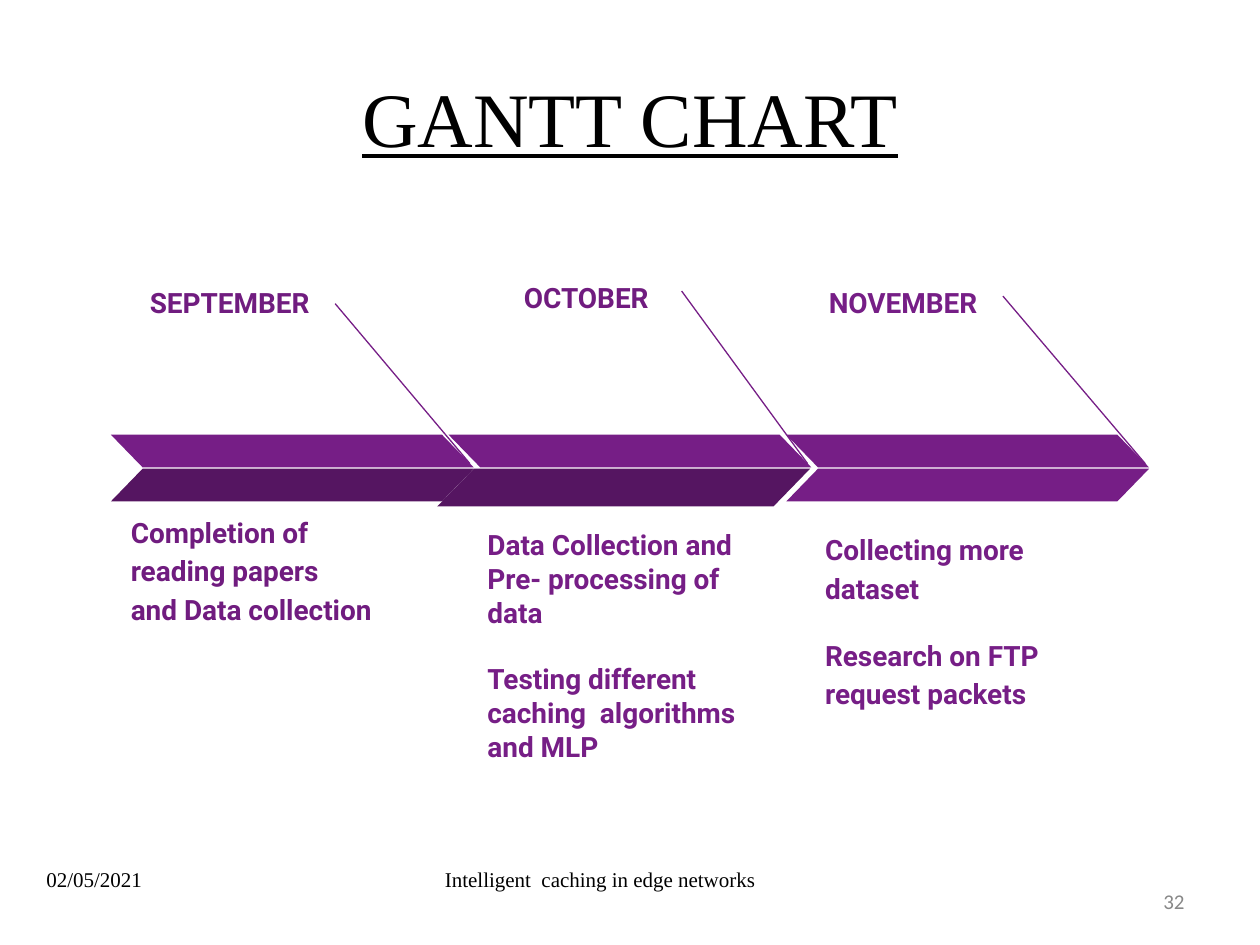
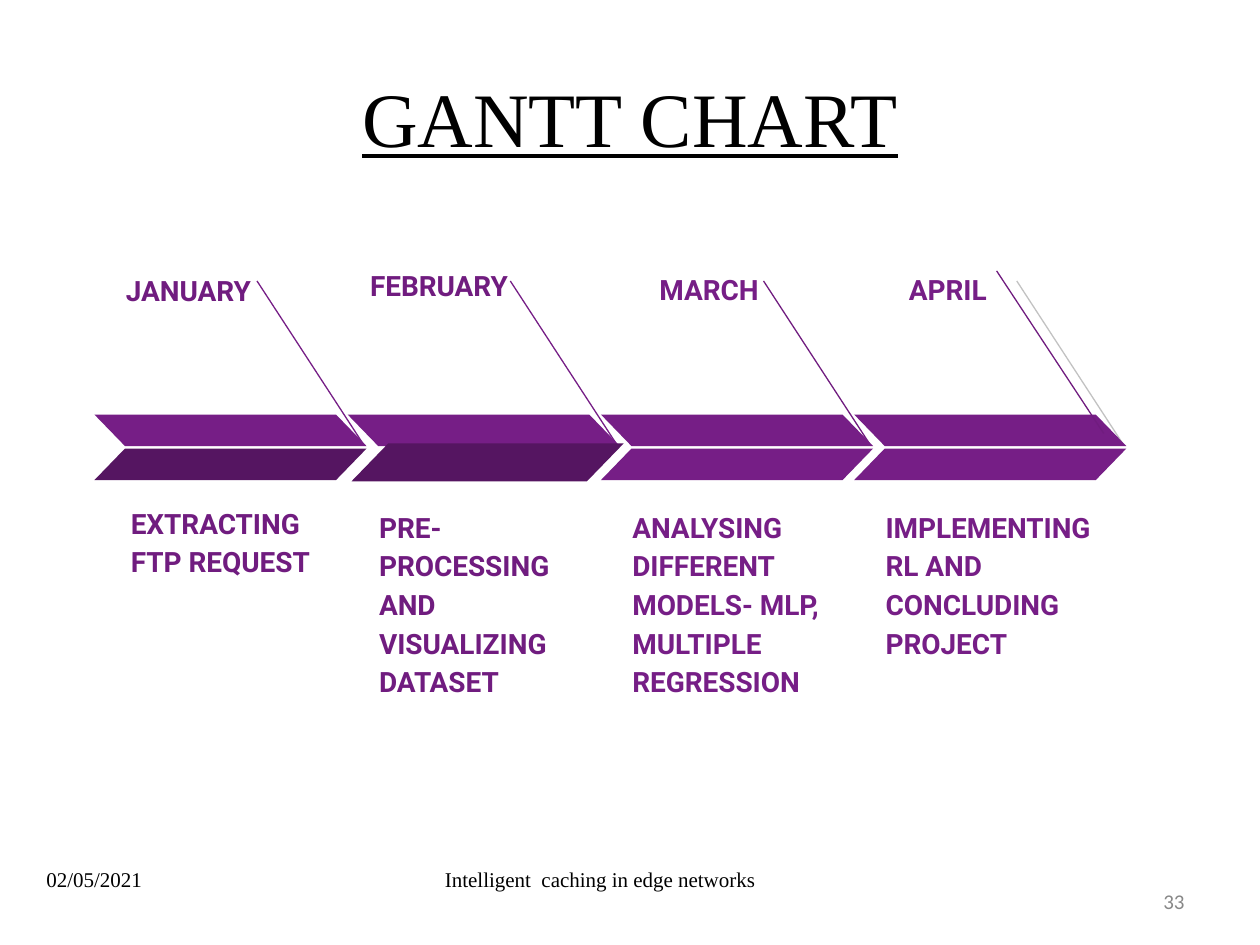
from dataclasses import dataclass

from pptx import Presentation
from pptx.dml.color import RGBColor
from pptx.enum import shapes, text
from pptx.oxml import ns, xmlchemy
from pptx.util import Inches, Pt


class Theme:
    BLACK, GREY, PALE = "000000", "888888", "C2C2C2"
    PURPLE, DEEP, DARK = "761E86", "701C7F", "551561"
    SERIF, SANS, NUMBER = "Times New Roman", "Roboto", "Calibri"
    TITLE_SIZE, LABEL_SIZE, FOOTER_SIZE = 44, 16, 12
    LINE_WIDTH, SLANT = 0.75, 0.97


LEFT, CENTER, RIGHT = text.PP_ALIGN.LEFT, text.PP_ALIGN.CENTER, text.PP_ALIGN.RIGHT
TOP, MIDDLE, BOTTOM = text.MSO_ANCHOR.TOP, text.MSO_ANCHOR.MIDDLE, text.MSO_ANCHOR.BOTTOM


@dataclass
class Stage:
    """One month; boxes and points are relative to the column's left and the band's top."""
    month: str
    month_box: tuple
    tasks: list
    task_box: tuple
    leader: tuple
    done: bool = False
    month_align: int = LEFT
    indent: float = 0
    task_anchor: int = TOP
    task_color: str = Theme.PURPLE
    leader_color: str = Theme.PURPLE
    spacing: float = 1.15
    gap: float = 0
    front_band: tuple = None    # lower band that overlaps its neighbours


@dataclass
class Timeline:
    left: float
    top: float
    pitch: float
    band: tuple     # width, height
    step: float     # from upper to lower band
    tip: tuple      # end of every leader
    stages: list
    front_leader: tuple = None


def shift(origin, box):
    """Move a box or point from relative to slide coordinates."""
    return (origin[0] + box[0], origin[1] + box[1], *box[2:])


def style_text(tf, lines, font, size, color, align=LEFT, anchor=MIDDLE, inset=0.05,
               spacing=None, gap=0, indent=0, **extra):
    frame = dict(word_wrap=True, vertical_anchor=anchor,
                 margin_left=Inches(0.1), margin_right=Inches(0.1),
                 margin_top=Inches(inset), margin_bottom=Inches(inset))
    for name, value in frame.items():
        setattr(tf, name, value)
    for i, line in enumerate(lines):
        p = tf.add_paragraph() if i else tf.paragraphs[0]
        p.alignment, p.line_spacing = align, spacing
        if i and gap:
            p.space_before = Pt(gap)
        if indent:
            p._p.get_or_add_pPr().set("indent", str(Inches(indent)))
        r = p.add_run()
        r.text = line
        for name, value in dict(name=font, size=Pt(size), **extra).items():
            setattr(r.font, name, value)
        r.font.color.rgb = RGBColor.from_string(color)


def add_text(parent, box, lines, *args, **kwargs):
    sp = parent.add_textbox(*map(Inches, box))
    style_text(sp.text_frame, lines, *args, **kwargs)


def add_label(parent, box, lines, color, **kwargs):
    add_text(parent, box, lines, Theme.SANS, Theme.LABEL_SIZE, color,
             inset=0.1, bold=True, **kwargs)


def add_band(parent, box, color, flip=False):
    sp = parent.add_shape(shapes.MSO_SHAPE.PARALLELOGRAM, *map(Inches, box))
    sp.shadow.inherit = False
    sp.adjustments[0] = Theme.SLANT
    sp.fill.solid()
    sp.fill.fore_color.rgb = RGBColor.from_string(color)
    sp.line.fill.background()
    if flip:
        sp._element.spPr.find(ns.qn("a:xfrm")).set("flipH", "1")


def add_leader(parent, start, end, color):
    line = parent.add_connector(shapes.MSO_CONNECTOR.STRAIGHT, *map(Inches, (*start, *end)))
    line.line.color.rgb = RGBColor.from_string(color)
    line.line.width = Pt(Theme.LINE_WIDTH)
    line._element.spPr.append(xmlchemy.OxmlElement("a:effectLst"))


def add_stage(parent, stage, chart, origin):
    add_label(parent, shift(origin, stage.month_box), [stage.month],
              Theme.DEEP if stage.done else Theme.PURPLE,
              align=stage.month_align, anchor=TOP, spacing=1.15, indent=stage.indent)
    add_leader(parent, shift(origin, stage.leader), shift(origin, chart.tip),
               stage.leader_color)
    add_band(parent, (*origin, *chart.band), Theme.PURPLE, flip=True)
    if not stage.front_band:
        add_band(parent, shift(origin, (0, chart.step, *chart.band)),
                 Theme.DARK if stage.done else Theme.PURPLE)
    add_label(parent, shift(origin, stage.task_box), stage.tasks, stage.task_color,
              anchor=stage.task_anchor, spacing=stage.spacing, gap=stage.gap)


def add_timeline(slide, chart):
    origins = [(chart.left + i * chart.pitch, chart.top) for i in range(len(chart.stages))]
    for stage, origin in zip(chart.stages, origins):
        add_stage(slide.shapes.add_group_shape().shapes, stage, chart, origin)
    for stage, origin in zip(chart.stages, origins):
        if stage.front_band:
            add_band(slide.shapes, shift(origin, stage.front_band), Theme.DARK)
    if chart.front_leader:
        start, end = chart.front_leader
        add_leader(slide.shapes, shift(origins[-1], start), shift(origins[-1], end), Theme.DEEP)


def add_footer(slide, number):
    size = Theme.FOOTER_SIZE
    add_text(slide.shapes, (7.17, 6.95, 2.33, 0.4), [str(number)],
             Theme.NUMBER, size, Theme.GREY, align=RIGHT)
    add_text(slide.shapes, (3.18, 6.83, 3.17, 0.3), ["Intelligent  caching in edge networks"],
             Theme.SERIF, size, Theme.BLACK, align=CENTER)
    add_text(slide.shapes, (0.27, 6.83, 2.33, 0.3), ["02/05/2021"],
             Theme.SERIF, size, Theme.BLACK)


def add_gantt_slide(prs, number, chart):
    slide = prs.slides.add_slide(prs.slide_layouts[5])
    title = slide.shapes.title
    for name, value in dict(left=0.5, top=0.3, width=9, height=1.25).items():
        setattr(title, name, Inches(value))
    style_text(title.text_frame, ["GANTT CHART"], Theme.SERIF, Theme.TITLE_SIZE,
               Theme.BLACK, align=CENTER, underline=True)
    add_footer(slide, number)
    add_timeline(slide, chart)


AUTUMN_TASK = (0.21, 0.64, 2.42, 2.2)
AUTUMN = Timeline(0.88, 3.45, 2.68, (2.88, 0.26), 0.27, (2.85, 0.23), [
    Stage("SEPTEMBER", (0.21, -1.32, 1.99, 0.49),
          ["Completion of reading papers", "and Data collection"],
          (0.06, 0.68, 2.36, 0.94), (1.78, -1.04), done=True,
          task_anchor=BOTTOM, task_color=Theme.DEEP),
    Stage("OCTOBER", (0, -1.36, 1.85, 0.43),
          ["Data Collection and Pre- processing of data",
           "Testing different caching  algorithms and MLP"],
          AUTUMN_TASK, (1.85, -1.14), done=True, indent=0.5, spacing=1.0, gap=19,
          front_band=(-0.09, 0.27, 2.96, 0.3)),
    Stage("NOVEMBER", (0.24, -1.32, 1.97, 0.43),
          ["Collecting more dataset", "Research on FTP request packets"],
          AUTUMN_TASK, (1.72, -1.1), gap=16),
])

SPRING_TASK = (0.15, 0.62, 1.82, 2.12)
SPRING_LEADER = (1.29, -1.06)
SPRING = Timeline(0.75, 3.29, 2.01, (2.16, 0.25), 0.27, (2.13, 0.23), [
    Stage("JANUARY", (0.15, -1.26, 1.26, 0.47), ["EXTRACTING FTP REQUEST"],
          (0.19, 0.76, 1.77, 0.64), SPRING_LEADER, done=True,
          task_anchor=BOTTOM, task_color=Theme.DEEP),
    Stage("FEBRUARY", (-0.01, -1.3, 1.38, 0.42),
          ["PRE- PROCESSING AND VISUALIZING DATASET"],
          SPRING_TASK, SPRING_LEADER, done=True, month_align=RIGHT,
          task_color=Theme.DEEP, front_band=(0.03, 0.23, 2.16, 0.3)),
    Stage("MARCH", (0.18, -1.27, 1.17, 0.42),
          ["ANALYSING DIFFERENT MODELS- MLP, MULTIPLE REGRESSION"],
          SPRING_TASK, SPRING_LEADER, month_align=RIGHT, leader_color=Theme.DEEP),
    Stage("APRIL", (0.14, -1.27, 1.01, 0.36),
          ["IMPLEMENTING RL AND CONCLUDING PROJECT"],
          (0.15, 0.62, 1.9, 2.12), SPRING_LEADER, month_align=RIGHT,
          leader_color=Theme.PALE),
], front_leader=((1.13, -1.14), (1.98, 0.15)))


def main():
    prs = Presentation()
    prs.slide_width, prs.slide_height = Inches(10), Inches(7.5)
    for number, chart in enumerate((AUTUMN, SPRING), start=32):
        add_gantt_slide(prs, number, chart)
    prs.save("out.pptx")


if __name__ == "__main__":
    main()
